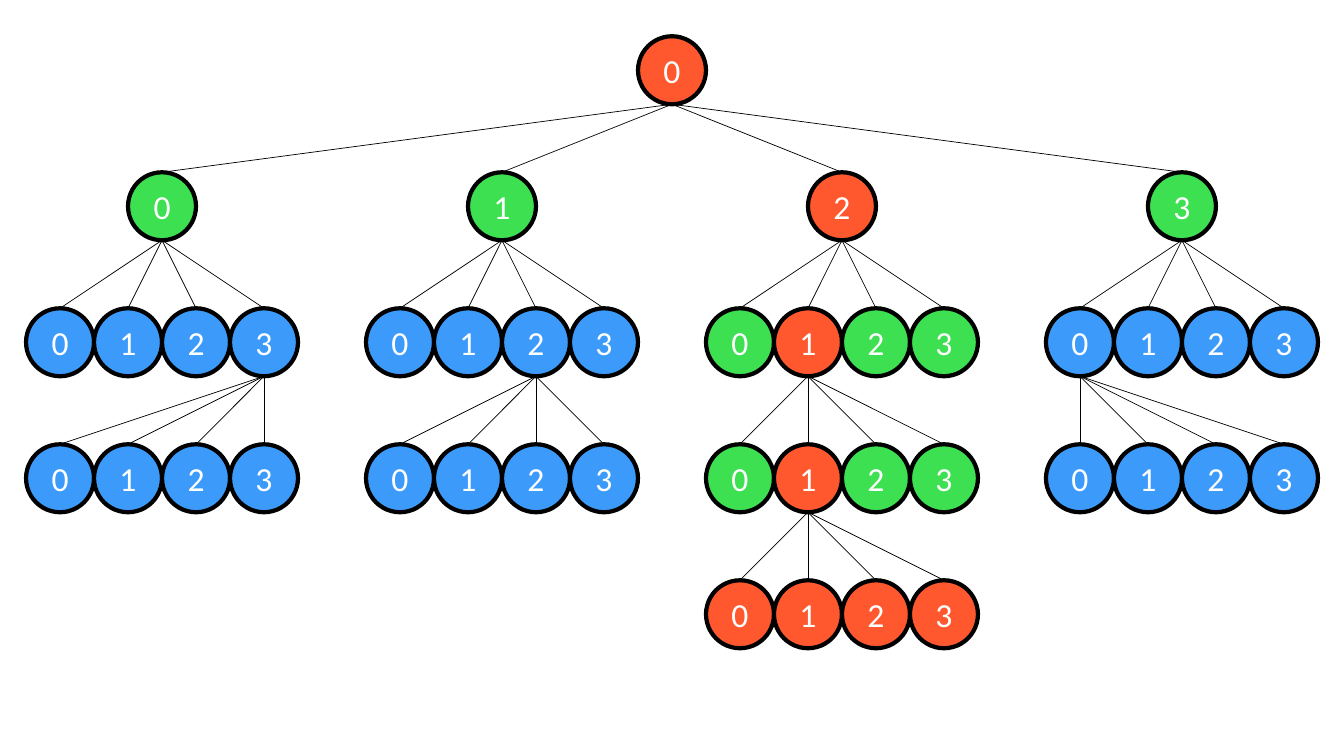
from dataclasses import dataclass

from pptx import Presentation
from pptx.dml.color import RGBColor
from pptx.enum.shapes import MSO_CONNECTOR, MSO_SHAPE
from pptx.enum.text import MSO_ANCHOR, PP_ALIGN
from pptx.oxml.ns import qn
from pptx.slide import Slide
from pptx.util import Pt
from lxml import etree

OVAL = MSO_SHAPE.OVAL
STRAIGHT = MSO_CONNECTOR.STRAIGHT
MIDDLE = MSO_ANCHOR.MIDDLE
CENTER = PP_ALIGN.CENTER

RED = RGBColor(0xFF, 0x58, 0x2E)
GREEN = RGBColor(0x3C, 0xE0, 0x50)
BLUE = RGBColor(0x3C, 0x9B, 0xFA)
BLACK = RGBColor(0x00, 0x00, 0x00)
WHITE = RGBColor(0xFF, 0xFF, 0xFF)

PAGE_WIDTH = 960
PAGE_HEIGHT = 540
DIAMETER = 48.57
TREE_TOP = 25.92
LEVEL_STEP = 2 * DIAMETER
BRANCH_STEP = 5 * DIAMETER


@dataclass
class Node:
    digit: int
    center: float
    level: int
    color: RGBColor

    @property
    def top(self) -> float:
        return TREE_TOP + self.level * LEVEL_STEP

    @property
    def bottom(self) -> float:
        return self.top + DIAMETER


@dataclass
class Branch:
    """The rows of colors below one first-level node; one digit is expanded in each."""
    color: RGBColor
    expanded_digit: int
    rows: list[list[RGBColor]]


BLUE_ROW = [BLUE] * 4
PATH_ROW = [GREEN, RED, GREEN, GREEN]
BRANCHES = [
    Branch(GREEN, 3, [BLUE_ROW] * 2),
    Branch(GREEN, 2, [BLUE_ROW] * 2),
    Branch(RED, 1, [PATH_ROW, PATH_ROW, [RED] * 4]),
    Branch(GREEN, 0, [BLUE_ROW] * 2),
]


def draw_node(page: Slide, node: Node) -> None:
    circle = page.shapes.add_shape(
        OVAL, Pt(node.center - DIAMETER / 2), Pt(node.top), Pt(DIAMETER), Pt(DIAMETER)
    )
    circle.shadow.inherit = False
    circle.fill.solid()
    circle.fill.fore_color.rgb = node.color
    circle.line.color.rgb = BLACK
    circle.line.width = Pt(3)
    frame = circle.text_frame
    frame.text = str(node.digit)
    frame.word_wrap = False
    frame.vertical_anchor = MIDDLE
    para = frame.paragraphs[0]
    para.alignment = CENTER
    font = para.runs[0].font
    font.name = "Calibri"
    font.size = Pt(24)
    font.color.rgb = WHITE


def draw_edge(page: Slide, parent: Node, child: Node) -> None:
    edge = page.shapes.add_connector(
        STRAIGHT, Pt(parent.center), Pt(parent.bottom), Pt(child.center), Pt(child.top)
    )
    edge.line.color.rgb = BLACK
    edge.line.width = Pt(0.5)
    etree.SubElement(edge._element.spPr, qn("a:effectLst"))


def draw_children(
    page: Slide, parent: Node, colors: list[RGBColor], middle: float, step: float
) -> list[Node]:
    """Draw a row of nodes around middle, joined to their parent."""
    first = middle - step * (len(colors) - 1) / 2
    children = [
        Node(digit, first + digit * step, parent.level + 1, color)
        for digit, color in enumerate(colors)
    ]
    for child in children:
        draw_node(page, child)
    for child in children:
        draw_edge(page, parent, child)
    return children


def draw_tree(page: Slide) -> None:
    root = Node(0, PAGE_WIDTH / 2, 0, RED)
    draw_node(page, root)
    branch_colors = [branch.color for branch in BRANCHES]
    heads = draw_children(page, root, branch_colors, root.center, BRANCH_STEP)
    for head, branch in zip(heads, BRANCHES):
        parent = head
        for colors in branch.rows:
            children = draw_children(page, parent, colors, head.center, DIAMETER)
            parent = children[branch.expanded_digit]


def main() -> None:
    deck = Presentation()
    deck.slide_width = Pt(PAGE_WIDTH)
    deck.slide_height = Pt(PAGE_HEIGHT)
    page = deck.slides.add_slide(deck.slide_layouts[6])
    draw_tree(page)
    deck.save("out.pptx")


if __name__ == "__main__":
    main()
